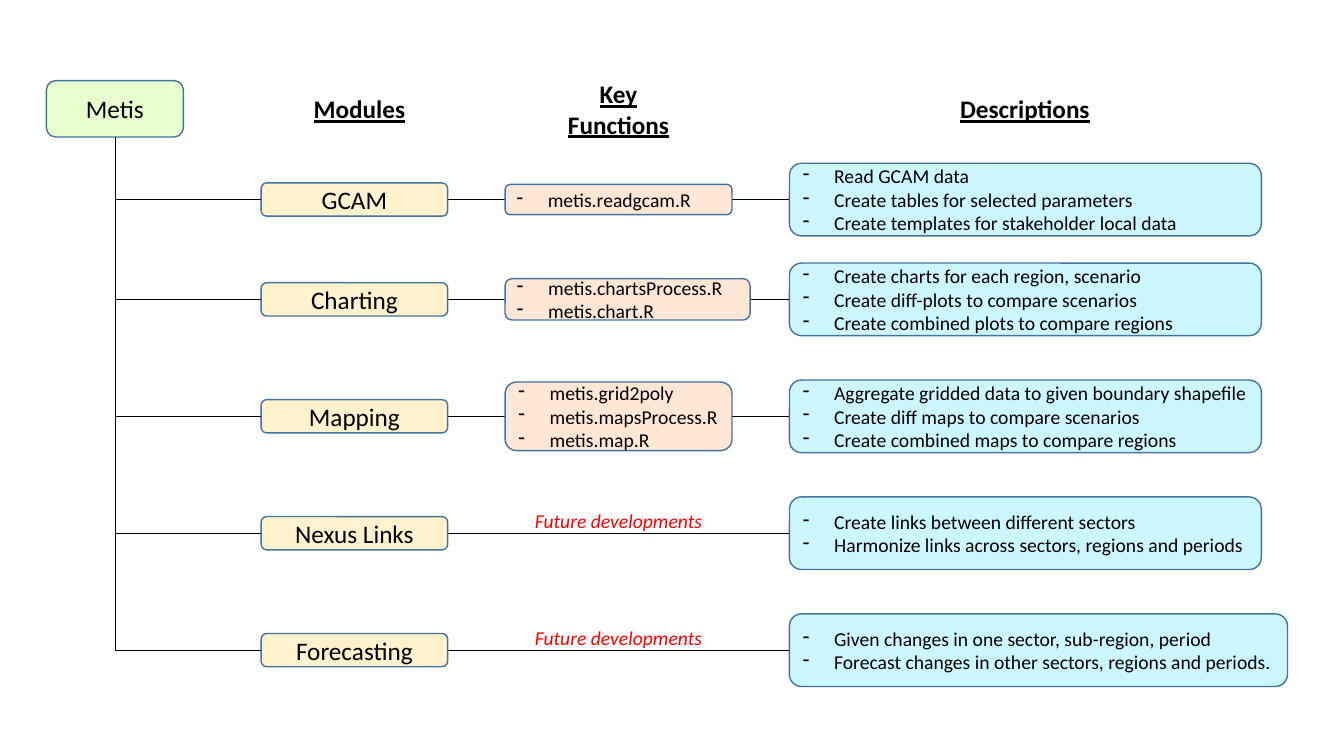
from lxml import etree
from pptx import Presentation
from pptx.dml.color import RGBColor
from pptx.enum.shapes import MSO_CONNECTOR, MSO_SHAPE
from pptx.enum.text import MSO_ANCHOR, PP_ALIGN
from pptx.oxml.ns import qn
from pptx.util import Inches, Pt

ROUND = MSO_SHAPE.ROUNDED_RECTANGLE
ELBOW, STRAIGHT = MSO_CONNECTOR.ELBOW, MSO_CONNECTOR.STRAIGHT
MIDDLE = MSO_ANCHOR.MIDDLE
LEFT, CENTER = PP_ALIGN.LEFT, PP_ALIGN.CENTER
LEFT_SITE, BOTTOM_SITE, RIGHT_SITE = 1, 2, 3

# Content
COLORS = {"root": "E9FECE", "module": "FFF2CC", "function": "FFE7D5",
          "description": "CDF7FF", "edge": "43739E", "text": "000000",
          "future": "FF0000"}
ROOT = "Metis"
HEADS = [("Modules", 2.79), ("Key Functions", 5.36), ("Descriptions", 9.39)]
FUTURE = "Future developments"
# Module, row centre, functions, function box size, descriptions, width
ROWS = [
    ("GCAM", 1.98, ["metis.readgcam.R"], (2.25, 0.3),
     ["Read GCAM data", "Create tables for selected parameters",
      "Create templates for stakeholder local data"], 4.68),
    ("Charting", 2.97, ["metis.chartsProcess.R", "metis.chart.R"], (2.43, 0.41),
     ["Create charts for each region, scenario",
      "Create diff-plots to compare scenarios",
      "Create combined plots to compare regions"], 4.68),
    ("Mapping", 4.13,
     ["metis.grid2poly", "metis.mapsProcess.R", "metis.map.R"], (2.25, 0.68),
     ["Aggregate gridded data to given boundary shapefile",
      "Create diff maps to compare scenarios",
      "Create combined maps to compare regions"], 4.68),
    ("Nexus Links", 5.29, [], None,
     ["Create links between different sectors",
      "Harmonize links across sectors, regions and periods"], 4.68),
    ("Forecasting", 6.45, [], None,
     ["Given changes in one sector, sub-region, period",
      "Forecast changes in other sectors, regions and periods."], 4.94),
]

deck = Presentation()
deck.slide_width, deck.slide_height = Inches(13.33), Inches(7.5)
slide = deck.slides.add_slide(deck.slide_layouts[6])


def color(name):
    return RGBColor.from_string(COLORS[name])


def write(frame, lines, size=18, ink="text", bullet=False, **style):
    frame.word_wrap = True
    frame.vertical_anchor = MIDDLE
    for i, line in enumerate(lines):
        para = frame.add_paragraph() if i else frame.paragraphs[0]
        para.alignment = LEFT if bullet else CENTER
        if bullet:
            props = para._p.get_or_add_pPr()
            props.set("marL", str(Inches(0.31)))
            props.set("indent", str(-Inches(0.31)))
            etree.SubElement(props, qn("a:buChar")).set("char", "-")
        run = para.add_run()
        run.text = line
        font = run.font
        font.name, font.size = "Calibri", Pt(size)
        font.color.rgb = color(ink)
        for key, value in style.items():
            setattr(font, key, value)


def box(lines, left, mid, width, height, fill=None, **style):
    """Rounded box centred on the height mid."""
    shape = slide.shapes.add_shape(ROUND, Inches(left), Inches(mid - height / 2),
                                   Inches(width), Inches(height))
    shape.shadow.inherit = False
    if fill:
        shape.fill.solid()
        shape.fill.fore_color.rgb = color(fill)
        shape.line.color.rgb = color("edge")
        shape.line.width = Pt(1)
    else:
        shape.fill.background()
        shape.line.fill.background()
    write(shape.text_frame, lines, **style)
    return shape


def link(kind, start, start_site, end, end_site):
    line = slide.shapes.add_connector(kind, 0, 0, 0, 0)
    line.begin_connect(start, start_site)
    line.end_connect(end, end_site)
    line.line.color.rgb = color("text")
    line.line.width = Pt(0.5)
    props = line._element.spPr
    etree.SubElement(props, qn("a:effectLst"))
    if kind == ELBOW:
        props.find(qn("a:prstGeom")).set("prst", "bentConnector2")


# Root and column heads
root = box([ROOT], 0.46, 1.08, 1.36, 0.56, "root")
for head, left in HEADS:
    box([head], left, 1.08, 1.55, 0.28, bold=True, underline=True)

# One row per module: boxes, then links, then functions over the link
for name, mid, funcs, size, notes, width in ROWS:
    module = box([name], 2.59, mid, 1.85, 0.33, "module")
    about = box(notes, 7.83, mid, width, 0.72, "description", size=14, bullet=True)
    link(ELBOW, module, LEFT_SITE, root, BOTTOM_SITE)
    link(STRAIGHT, about, LEFT_SITE, module, RIGHT_SITE)
    if funcs:
        box(funcs, 5.01, mid, *size, "function", size=14, bullet=True)
    else:
        box([FUTURE], 5.18, mid - 0.12, 1.91, 0.34, size=14, ink="future",
            italic=True)

deck.save("out.pptx")
